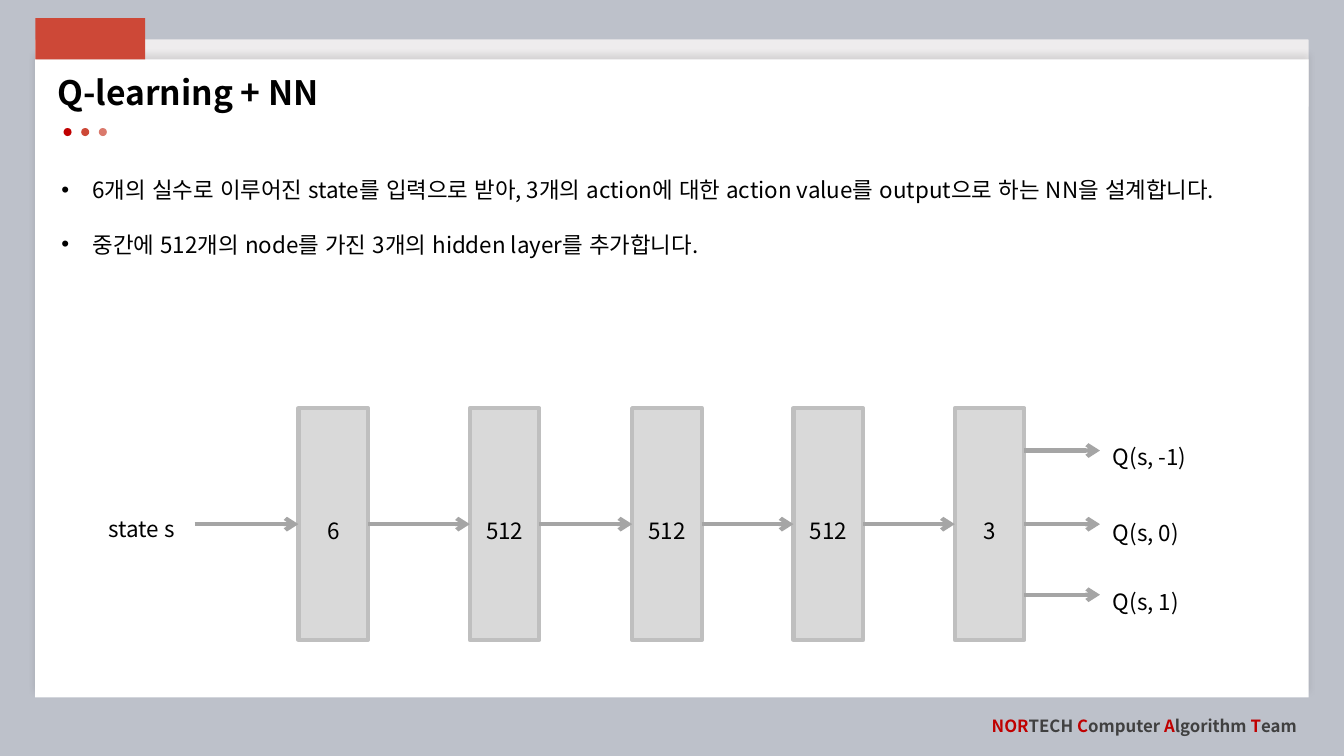
from dataclasses import dataclass
from lxml.etree import SubElement
from pptx import Presentation
from pptx.dml.color import RGBColor
from pptx.enum.lang import MSO_LANGUAGE_ID
from pptx.enum.shapes import MSO_CONNECTOR, MSO_SHAPE
from pptx.enum.text import MSO_ANCHOR, PP_ALIGN
from pptx.oxml.ns import qn
from pptx.util import Inches, Pt


@dataclass(frozen=True)
class Theme:
    """Colours, font and type sizes of the slide."""
    font: str = "Noto Sans CJK KR"
    back: str = "BDC1CA"
    strip: str = "EEECED"
    white: str = "FFFFFF"
    black: str = "000000"
    crimson: str = "C00000"
    red: str = "CD4837"
    pink: str = "DA796C"
    dark: str = "404040"
    layer: str = "D9D9D9"
    border: str = "BFBFBF"
    arrow: str = "A5A5A5"
    title: int = 24
    body: int = 16
    footer: int = 12
    stroke: int = 3


T = Theme()

TITLE = "Q-learning + NN"
BULLETS = [
    "6개의 실수로 이루어진 state를 입력으로 받아, 3개의 action에 대한 "
    "action value를 output으로 하는 NN을 설계합니다.",
    "중간에 512개의 node를 가진 3개의 hidden layer를 추가합니다.",
]
FOOTER = [("NOR", "TECH "), ("C", "omputer "), ("A", "lgorithm "), ("T", "eam")]
LAYERS = [("6", 2.96), ("512", 4.66), ("512", 6.27), ("512", 7.87), ("3", 9.47)]
INPUT = "state s"
OUTPUTS = [("Q(s, -1)", 4.47, 4.21), ("Q(s, 0)", 5.2, 4.97), ("Q(s, 1)", 5.9, 5.65)]

LAYER_TOP, LAYER_W, LAYER_H = 4.05, 0.69, 2.3
MID_Y = LAYER_TOP + LAYER_H / 2
INPUT_X, OUTPUT_LEN = 1.93, 0.75
LABEL_W, LABEL_H = 1.07, 0.5


def rgb(color):
    """Turn a hex string into a colour."""
    return RGBColor.from_string(color)


def write(tf, paragraphs, size=T.body, bold=False, align=PP_ALIGN.LEFT,
          anchor=MSO_ANCHOR.TOP, spacing=1.5, before=10, bullet=False, wrap=True):
    """Fill a text frame; each paragraph is a list of (text, colour) runs."""
    tf.word_wrap, tf.vertical_anchor = wrap, anchor
    for i, runs in enumerate(paragraphs):
        p = tf.add_paragraph() if i else tf.paragraphs[0]
        p.alignment, p.line_spacing, p.space_before = align, spacing, Pt(before)
        if bullet:
            pPr = p._p.get_or_add_pPr()
            pPr.set("marL", str(Inches(0.31)))
            pPr.set("indent", str(Inches(-0.31)))
            SubElement(pPr, qn("a:buFont"), typeface="Arial")
            SubElement(pPr, qn("a:buChar"), char="•")
        for text, color in runs:
            r = p.add_run()
            r.text = text
            r.font.name, r.font.size, r.font.bold = T.font, Pt(size), bold
            r.font.color.rgb = rgb(color)
            r.font.language_id = MSO_LANGUAGE_ID.KOREAN
            SubElement(r._r.get_or_add_rPr(), qn("a:ea"), typeface=T.font)


def add_text(s, box, paragraphs, **fmt):
    """Add a text box."""
    sp = s.shapes.add_textbox(*map(Inches, box))
    write(sp.text_frame, paragraphs, **fmt)


def add_block(s, kind, box, fill, line=None):
    """Add a filled preset shape without shadow."""
    sp = s.shapes.add_shape(kind, *map(Inches, box))
    sp.shadow.inherit = False
    sp.fill.solid()
    sp.fill.fore_color.rgb = rgb(fill)
    if line:
        sp.line.color.rgb, sp.line.width = rgb(line), Pt(T.stroke)
    else:
        sp.line.fill.background()
    return sp


def add_arrow(s, x1, x2, y):
    """Add a horizontal arrow pointing right."""
    c = s.shapes.add_connector(MSO_CONNECTOR.STRAIGHT, *map(Inches, (x1, y, x2, y)))
    c.line.color.rgb, c.line.width = rgb(T.arrow), Pt(T.stroke)
    SubElement(c.line._get_or_add_ln(), qn("a:tailEnd"), type="arrow")
    SubElement(c._element.spPr, qn("a:effectLst"))


def add_soft_shadow(sp):
    """Give a shape a faint shadow along its upper edge."""
    effects = sp._element.spPr.find(qn("a:effectLst"))
    shadow = SubElement(effects, qn("a:outerShdw"), blurRad=str(Pt(4)), dist=str(Pt(3)),
                        dir=str(270 * 60000), algn="b", rotWithShape="0")
    color = SubElement(shadow, qn("a:srgbClr"), val=T.black)
    SubElement(color, qn("a:alpha"), val="10000")


def add_frame(s):
    """Draw the page panel, the red tab, the dots and the footer."""
    s.background.fill.solid()
    s.background.fill.fore_color.rgb = rgb(T.back)
    strip = add_block(s, MSO_SHAPE.ROUNDED_RECTANGLE, (0.35, 0.39, 12.63, 0.67), T.strip)
    strip.adjustments[0] = 0.015
    add_soft_shadow(add_block(s, MSO_SHAPE.RECTANGLE, (0.35, 0.59, 12.63, 6.33), T.white))
    for i, color in enumerate((T.crimson, T.red, T.pink)):
        add_block(s, MSO_SHAPE.OVAL, (0.63 + 0.175 * i, 1.27, 0.08, 0.08), color)
    add_block(s, MSO_SHAPE.RECTANGLE, (0.35, 0.18, 1.09, 0.41), T.red)
    runs = [run for head, rest in FOOTER for run in ((head, T.crimson), (rest, T.dark))]
    add_text(s, (9.71, 7.05, 3.25, 0.3), [runs], size=T.footer, bold=True, spacing=1.0,
             before=0, align=PP_ALIGN.RIGHT, anchor=MSO_ANCHOR.MIDDLE, wrap=False)


def add_title(s):
    """Place the title placeholder in front of the panel."""
    sp = s.shapes.title
    s.shapes._spTree.append(sp._element)
    sp.left, sp.top, sp.width, sp.height = map(Inches, (0.47, 0.71, 4.21, 0.46))
    write(sp.text_frame, [[(TITLE, T.black)]], size=T.title, bold=True, spacing=0.9)


def add_network(s):
    """Draw the layers, the arrows between them and the labels."""
    start = INPUT_X
    add_text(s, (0.98, 4.93, LABEL_W, LABEL_H), [[(INPUT, T.black)]])
    for nodes, x in LAYERS:
        sp = add_block(s, MSO_SHAPE.RECTANGLE, (x, LAYER_TOP, LAYER_W, LAYER_H),
                       T.layer, T.border)
        write(sp.text_frame, [[(nodes, T.black)]], align=PP_ALIGN.CENTER,
              anchor=MSO_ANCHOR.MIDDLE)
        add_arrow(s, start, x, MID_Y)
        start = x + LAYER_W
    for label, y, top in OUTPUTS:
        add_arrow(s, start, start + OUTPUT_LEN, y)
        add_text(s, (10.94, top, LABEL_W, LABEL_H), [[(label, T.black)]])


prs = Presentation()
prs.slide_width, prs.slide_height = Inches(13.33), Inches(7.5)
s = prs.slides.add_slide(prs.slide_layouts[5])
add_frame(s)
add_text(s, (0.51, 1.57, 12, 5.16), [[(text, T.black)] for text in BULLETS], bullet=True)
add_title(s)
add_network(s)
prs.save("out.pptx")
